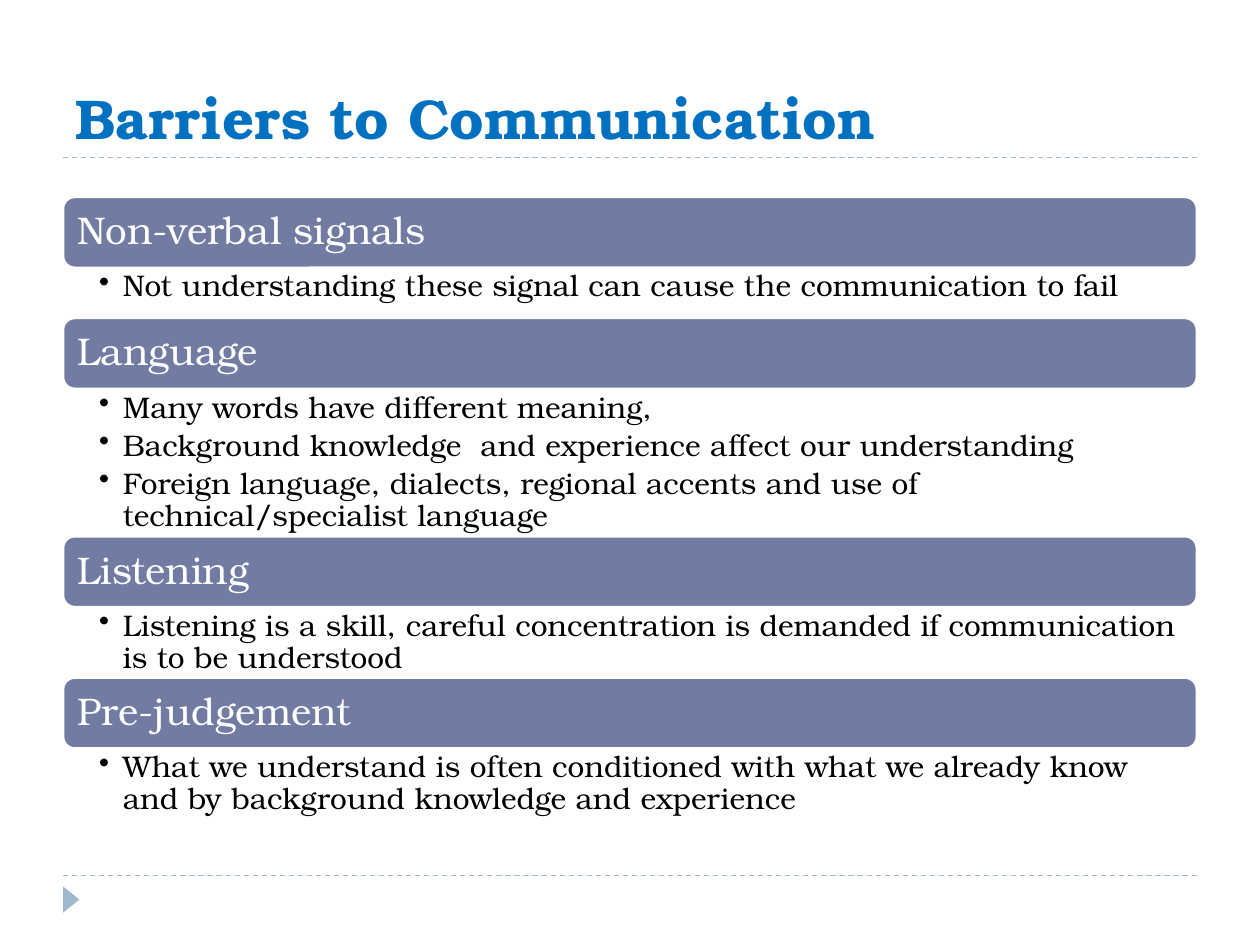
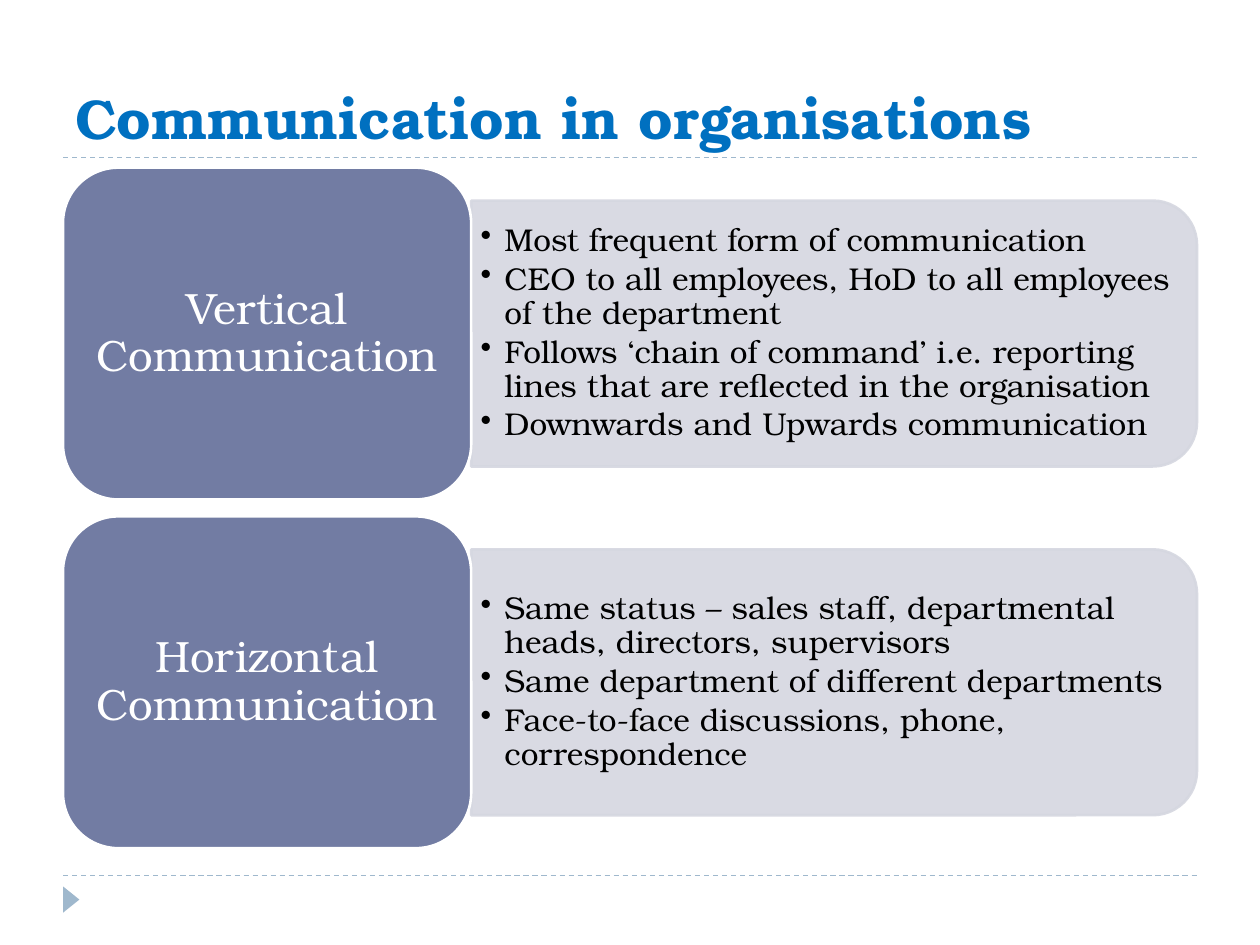
"""Build two slides on communication barriers and communication in organisations."""
from lxml import etree
from pptx import Presentation
from pptx.dml.color import RGBColor
from pptx.enum.dml import MSO_LINE
from pptx.enum.shapes import MSO_CONNECTOR, MSO_SHAPE
from pptx.enum.text import MSO_ANCHOR, PP_ALIGN
from pptx.oxml.ns import qn
from pptx.util import Cm, Pt

TOP, MIDDLE, BOTTOM = MSO_ANCHOR.TOP, MSO_ANCHOR.MIDDLE, MSO_ANCHOR.BOTTOM
LEFT, CENTER = PP_ALIGN.LEFT, PP_ALIGN.CENTER
ROUNDED, HALF_ROUNDED = MSO_SHAPE.ROUNDED_RECTANGLE, MSO_SHAPE.ROUND_2_SAME_RECTANGLE
TRIANGLE, STRAIGHT, DASH = MSO_SHAPE.ISOSCELES_TRIANGLE, MSO_CONNECTOR.STRAIGHT, MSO_LINE.DASH

BARRIERS_TITLE = "Barriers to Communication"
BARRIERS = [
    ("Non-verbal signals", 1.01, [
        "Not understanding these signal can cause the communication to fail"]),
    ("Language", 2.97, [
        "Many words have different meaning,",
        "Background knowledge  and experience affect our understanding",
        "Foreign language, dialects, regional accents and use of technical/specialist language"]),
    ("Listening", 1.42, [
        "Listening is a skill, careful concentration is demanded if communication is to be understood"]),
    ("Pre-judgement", 1.42, [
        "What we understand is often conditioned with what we already know "
        "and by background knowledge and experience"]),
]
DIRECTIONS_TITLE = "Communication in organisations"
DIRECTIONS = [
    ("Vertical Communication", [
        "Most frequent form of communication",
        "CEO to all employees, HoD to all employees of the department",
        "Follows ‘chain of command’ i.e. reporting lines that are reflected in the organisation",
        "Downwards and Upwards communication"]),
    ("Horizontal Communication", [
        "Same status – sales staff, departmental heads, directors, supervisors",
        "Same department of different departments",
        "Face-to-face discussions, phone, correspondence"]),
]

COLORS = {"title": "0070C0", "rule": "9FB8CD", "block": "727CA3",
          "panel": "D5D7E0", "white": "FFFFFF", "black": "000000"}
FONT = "TeX Gyre Bonum"
STYLES = {
    "title": {"size": 32, "color": "title", "bold": True, "anchor": BOTTOM, "insets": (0.25, 0.13, 0.25, 0.13)},
    "heading": {"size": 22, "color": "white", "anchor": MIDDLE, "spacing": 0.9, "insets": (0.23,) * 4},
    "details": {"size": 17, "color": "black", "anchor": TOP, "spacing": 0.9, "after": 3.4,
                "bullet": True, "insets": (0.73, 0.07, 0.42, 0.07)},
    "direction": {"size": 25, "color": "white", "anchor": MIDDLE, "align": CENTER, "spacing": 0.9,
                  "insets": (0.25, 0.13, 0.25, 0.13)},
    "points": {"size": 18, "color": "black", "anchor": MIDDLE, "spacing": 0.9, "after": 2.7,
               "bullet": True, "insets": (0.19, 0.1, 0.19, 0.1)},
}
MARGIN, CONTENT_WIDTH = 1.27, 22.86
RULES_Y = (3.18, 17.65)
BULLET_INDENT = 0.48


def rgb(name):
    return RGBColor.from_string(COLORS[name])


def assign(target, values):
    for attribute, value in values.items():
        setattr(target, attribute, value)


def write(holder, lines, style_name):
    style = STYLES[style_name]
    frame = holder.text_frame
    sides = ("margin_left", "margin_top", "margin_right", "margin_bottom")
    assign(frame, {"word_wrap": True, "vertical_anchor": style["anchor"],
                   **dict(zip(sides, map(Cm, style["insets"])))})
    for index, line in enumerate(lines):
        paragraph = frame.add_paragraph() if index else frame.paragraphs[0]
        assign(paragraph, {"alignment": style.get("align", LEFT),
                           "line_spacing": style.get("spacing", 1.0),
                           "space_after": Pt(style.get("after", 0))})
        run = paragraph.add_run()
        run.text = line
        assign(run.font, {"name": FONT, "size": Pt(style["size"]), "bold": style.get("bold", False)})
        run.font.color.rgb = rgb(style["color"])
        if style.get("bullet"):
            properties = paragraph._p.get_or_add_pPr()
            properties.set("marL", str(Cm(BULLET_INDENT)))
            properties.set("indent", str(-Cm(BULLET_INDENT)))
            etree.SubElement(properties, qn("a:buChar"), char="•")


def add_text(slide, box, lines, style_name):
    write(slide.shapes.add_textbox(*map(Cm, box)), lines, style_name)


def add_block(slide, kind, box, fill, outline=None, rotation=0):
    block = slide.shapes.add_shape(kind, *map(Cm, box))
    block.shadow.inherit = False
    block.rotation = rotation
    block.fill.solid()
    block.fill.fore_color.rgb = rgb(fill)
    if outline:
        block.line.color.rgb = rgb(outline)
        block.line.width = Pt(1.5)
    else:
        block.line.fill.background()
    return block


def add_frame(deck, title):
    slide = deck.slides.add_slide(deck.slide_layouts[6])
    for y in RULES_Y:
        rule = slide.shapes.add_connector(
            STRAIGHT, Cm(MARGIN), Cm(y), Cm(MARGIN + CONTENT_WIDTH), Cm(y))
        assign(rule.line, {"width": Pt(0.75), "dash_style": DASH})
        rule.line.color.rgb = rgb("rule")
        etree.SubElement(rule._element.spPr, qn("a:effectLst"))
    add_block(slide, TRIANGLE, (1.17, 17.97, 0.53, 0.33), "rule", rotation=90)
    add_text(slide, (MARGIN, 0.43, CONTENT_WIDTH, 2.74), [title], "title")
    return slide


def add_barriers(deck):
    slide = add_frame(deck, BARRIERS_TITLE)
    top, heading_height = 3.97, 1.43
    for heading, details_height, details in BARRIERS:
        bar = add_block(slide, ROUNDED, (MARGIN, top, CONTENT_WIDTH, heading_height), "block", "white")
        write(bar, [heading], "heading")
        top += heading_height
        add_text(slide, (MARGIN, top, CONTENT_WIDTH, details_height), details, "details")
        top += details_height


def add_directions(deck):
    slide = add_frame(deck, DIRECTIONS_TITLE)
    first_top, pitch = 3.38, 7.03
    card_width, card_height = 8.23, 6.69
    panel_width, panel_height = CONTENT_WIDTH - card_width, 5.36
    points_width, points_height = 14.37, 4.83
    panel_left = MARGIN + card_width
    for index, (direction, points) in enumerate(DIRECTIONS):
        top = first_top + index * pitch
        middle = top + card_height / 2
        upright = (panel_left + (panel_width - panel_height) / 2, middle - panel_width / 2,
                   panel_height, panel_width)
        panel = add_block(slide, HALF_ROUNDED, upright, "panel", "panel", rotation=90)
        for color in panel._element.spPr.iter(qn("a:srgbClr")):
            etree.SubElement(color, qn("a:alpha"), val="90000")
        add_text(slide, (panel_left, middle - points_height / 2, points_width, points_height),
                 points, "points")
        card = add_block(slide, ROUNDED, (MARGIN, top, card_width, card_height), "block", "white")
        write(card, [direction], "direction")


def main():
    deck = Presentation()
    assign(deck, {"slide_width": Cm(25.4), "slide_height": Cm(19.05)})
    add_barriers(deck)
    add_directions(deck)
    deck.save("out.pptx")


if __name__ == "__main__":
    main()
